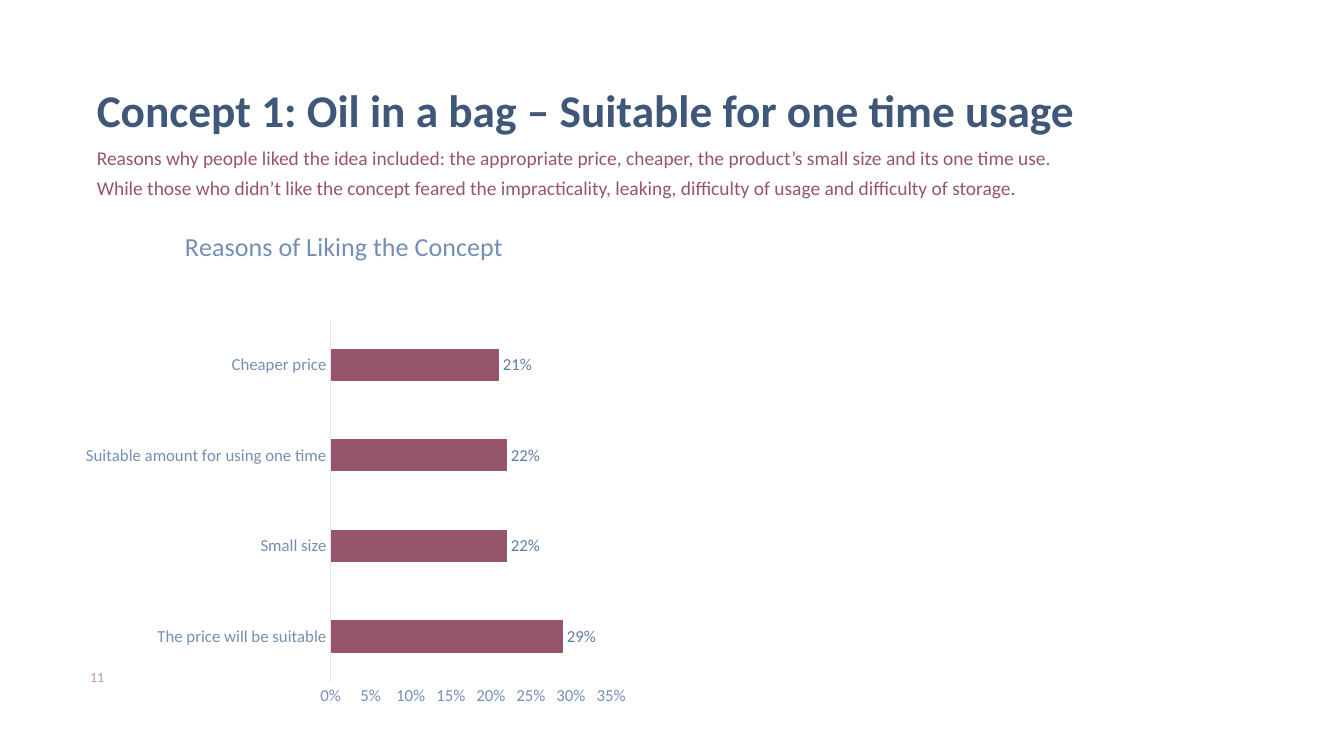
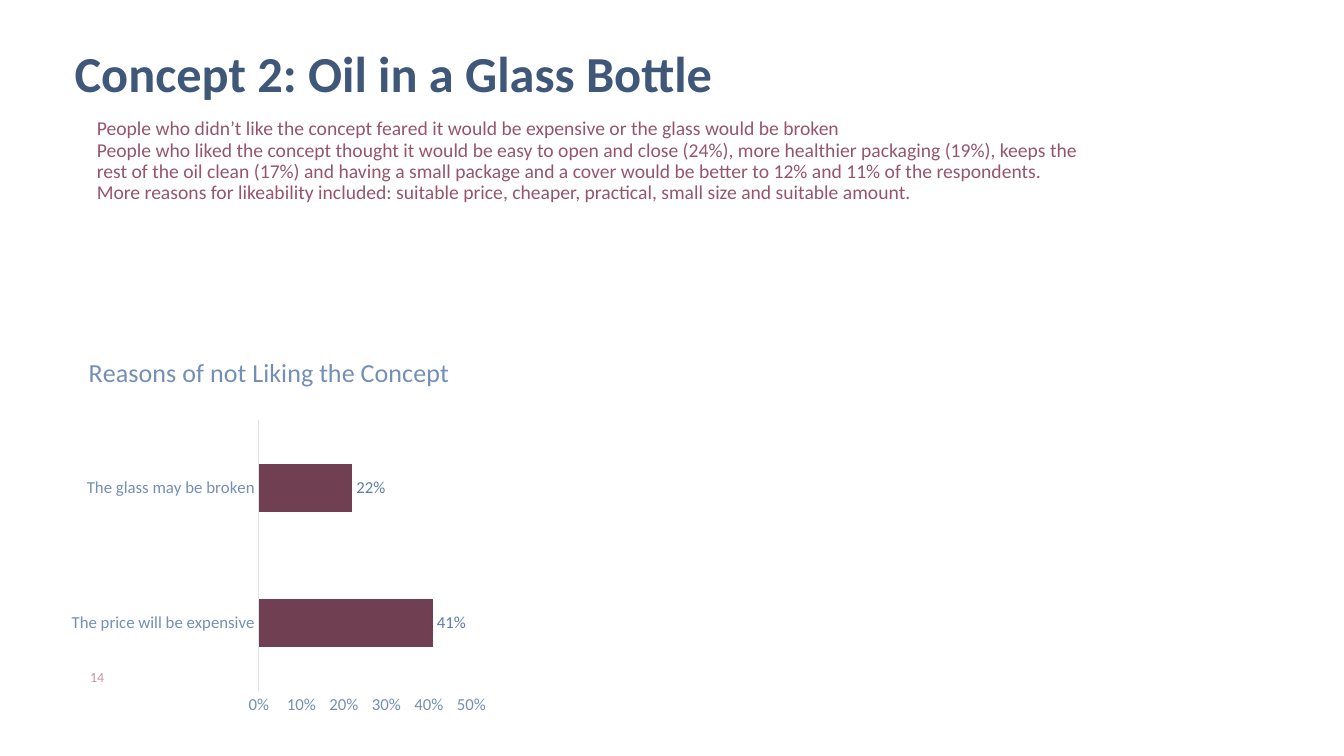
"""Build two concept-test slides, each with a headline, findings and a bar chart of reasons."""
import pptx
import pptx.chart.data
import pptx.dml.color
import pptx.enum.chart
import pptx.enum.text
import pptx.util
from lxml import etree

Cm = pptx.util.Cm
Pt = pptx.util.Pt

FONT = "Calibri"
NAVY = "3F5779"
PLUM = "96556D"
DARK_PLUM = "704052"
PALE_PLUM = "C396A7"
AXIS_BLUE = "748FB6"
LABEL_BLUE = "5E7EAB"
AXIS_LINE = "DFE5EE"
CHART_SPACE = "{http://schemas.openxmlformats.org/drawingml/2006/chart}"
PLOT_LAYOUT = [
    ("layoutTarget", "inner"), ("xMode", "edge"), ("yMode", "edge"),
    ("x", "0.478"), ("y", "0.22"), ("w", "0.454"), ("h", "0.71"),
]

SLIDES = [
    {
        "title": "Concept 1: Oil in a bag – Suitable for one time usage",
        "title_place": (2.34, 2.06), "title_size": 32.4,
        "findings": [
            "Reasons why people liked the idea included: the appropriate price, cheaper, "
            "the product’s small size and its one time use.",
            "While those who didn’t like the concept feared the impracticality, leaking, "
            "difficulty of usage and difficulty of storage.",
        ],
        "findings_top": 3.84, "findings_size": 13.9, "line_spacing": 0.7, "space_before": 10,
        "number": "11",
        "chart_title": "Reasons of Liking the Concept",
        "chart_place": (0.89, 5.23, 15.57, 12.85),
        "reasons": [
            ("The price will be suitable", 0.29), ("Small size", 0.22),
            ("Suitable amount for using one time", 0.22), ("Cheaper price", 0.21),
        ],
        "bar_color": PLUM, "axis_max": 0.35, "axis_step": 0.05,
    },
    {
        "title": "Concept 2: Oil in a Glass Bottle",
        "title_place": (1.78, 1.14), "title_size": 36,
        "findings": [
            "People who didn’t like the concept feared it would be expensive or the glass "
            "would be broken",
            "People who liked the concept thought it would be easy to open and close (24%), "
            "more healthier packaging (19%), keeps the rest of the oil clean (17%) and having "
            "a small package and a cover would be better to 12% and 11% of the respondents.",
            "More reasons for likeability included: suitable price, cheaper, practical, "
            "small size and suitable amount.",
        ],
        "findings_top": 3, "findings_size": 14, "line_spacing": 0.9, "space_before": 0,
        "number": "14",
        "chart_title": "Reasons of not Liking the Concept",
        "chart_place": (0.89, 8.48, 11.79, 9.6),
        "reasons": [("The price will be expensive", 0.41), ("The glass may be broken", 0.22)],
        "bar_color": DARK_PLUM, "axis_max": 0.5, "axis_step": 0.1,
    },
]


def style_font(font, size, color, bold=False):
    font.name = FONT
    font.size = Pt(size)
    font.bold = bold
    font.color.rgb = pptx.dml.color.RGBColor.from_string(color)


def add_text(page, place, paragraphs, size, color, bold=False, spacing=1.0, before=0, inset=0.1):
    box = page.shapes.add_textbox(*[Cm(length) for length in place])
    frame = box.text_frame
    frame.word_wrap = True
    frame.margin_left = Cm(inset)
    frame.margin_top = frame.margin_right = frame.margin_bottom = 0
    frame.text = "\n".join(paragraphs)
    for para in frame.paragraphs:
        para.line_spacing = spacing
        para.space_before = Pt(before)
        for span in para.runs:
            style_font(span.font, size, color, bold)
    return frame


deck = pptx.Presentation()
deck.slide_width = Cm(33.87)
deck.slide_height = Cm(19.05)

for content in SLIDES:
    page = deck.slides.add_slide(deck.slide_layouts[6])

    title = add_text(page, (*content["title_place"], 25.1, 1.57), [content["title"]],
                     content["title_size"], NAVY, bold=True, spacing=0.9)
    title.vertical_anchor = pptx.enum.text.MSO_ANCHOR.MIDDLE

    add_text(page, (2.34, content["findings_top"], 25.1, 1.5), content["findings"],
             content["findings_size"], PLUM, spacing=content["line_spacing"],
             before=content["space_before"])

    number = add_text(page, (1.78, 16.84, 1.09, 0.66), [content["number"]], 10, PALE_PLUM,
                      inset=0.25)
    number.paragraphs[0].alignment = pptx.enum.text.PP_ALIGN.CENTER

    data = pptx.chart.data.CategoryChartData(number_format="0%")
    data.categories = [reason for reason, share in content["reasons"]]
    data.add_series("Series 1", [share for reason, share in content["reasons"]])
    chart = page.shapes.add_chart(
        pptx.enum.chart.XL_CHART_TYPE.BAR_CLUSTERED,
        *[Cm(length) for length in content["chart_place"]], data).chart
    style_font(chart.font, 10, NAVY)
    chart.has_legend = False
    chart.has_title = True
    chart.chart_title.text_frame.text = content["chart_title"]
    style_font(chart.chart_title.text_frame.paragraphs[0].runs[0].font, 18.6, AXIS_BLUE)

    for axis in (chart.category_axis, chart.value_axis):
        axis.has_major_gridlines = False
        axis.major_tick_mark = pptx.enum.chart.XL_TICK_MARK.NONE
        axis.minor_tick_mark = pptx.enum.chart.XL_TICK_MARK.NONE
        style_font(axis.tick_labels.font, 12, AXIS_BLUE)
    category_line = chart.category_axis.format.line
    category_line.color.rgb = pptx.dml.color.RGBColor.from_string(AXIS_LINE)
    category_line.width = Pt(0.75)
    chart.value_axis.format.line.fill.background()
    chart.value_axis.minimum_scale = 0
    chart.value_axis.maximum_scale = content["axis_max"]
    chart.value_axis.major_unit = content["axis_step"]
    chart.value_axis.tick_labels.number_format = "0%"
    chart.value_axis.tick_labels.number_format_is_linked = False

    plot = chart.plots[0]
    plot.gap_width = 182
    plot.vary_by_categories = False
    bars = plot.series[0]
    bars.format.fill.solid()
    bars.format.fill.fore_color.rgb = pptx.dml.color.RGBColor.from_string(content["bar_color"])
    labels = bars.data_labels
    labels.show_value = True
    labels.position = pptx.enum.chart.XL_LABEL_POSITION.OUTSIDE_END
    labels.number_format = "0%"
    labels.number_format_is_linked = False
    style_font(labels.font, 12, LABEL_BLUE)

    plot_area = chart.element.find(f".//{CHART_SPACE}plotArea")
    for old_layout in plot_area.findall(f"{CHART_SPACE}layout"):
        plot_area.remove(old_layout)
    layout = etree.Element(f"{CHART_SPACE}layout")
    manual_layout = etree.SubElement(layout, f"{CHART_SPACE}manualLayout")
    for tag, value in PLOT_LAYOUT:
        etree.SubElement(manual_layout, f"{CHART_SPACE}{tag}", val=value)
    plot_area.insert(0, layout)

deck.save("out.pptx")
